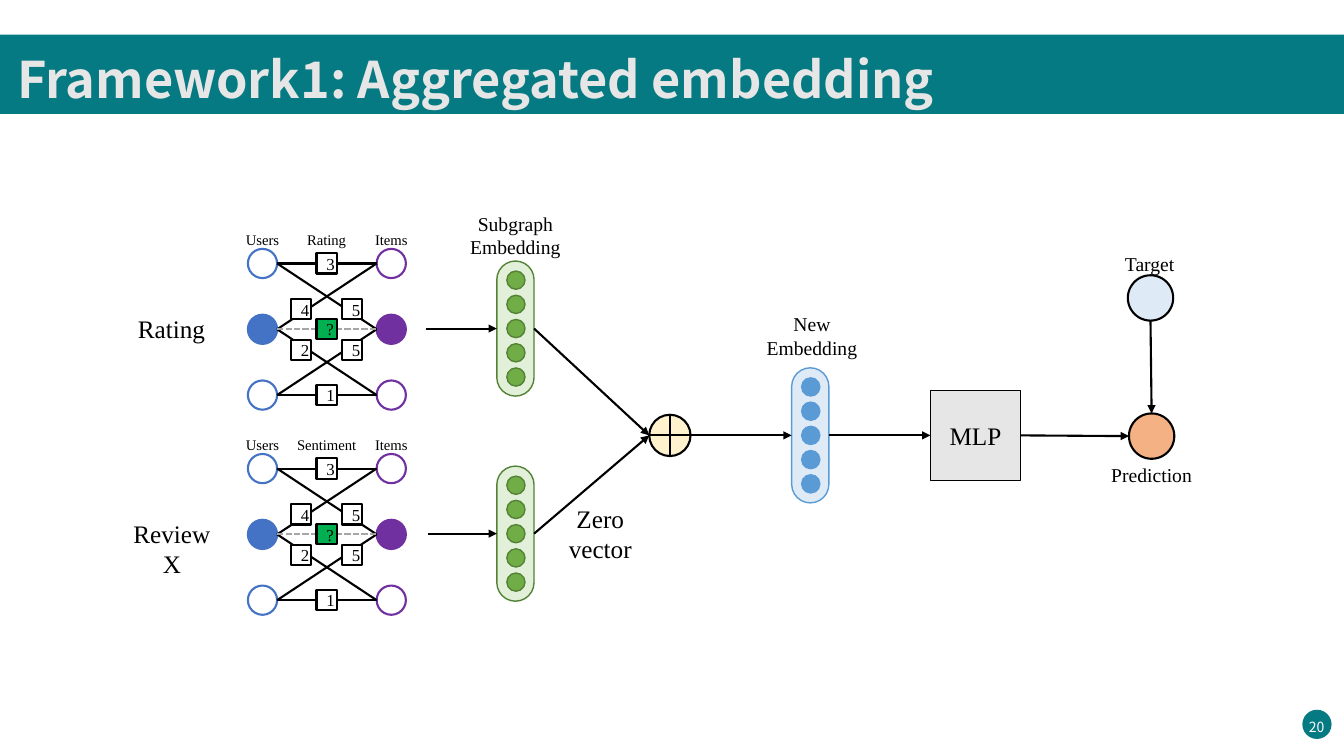
from lxml import etree
from pptx import Presentation
from pptx import util as u
from pptx.dml import color as dc
from pptx.enum import dml, shapes, text
from pptx.oxml import ns

SHAPE = shapes.MSO_SHAPE
ALIGN = text.PP_ALIGN
ANCHOR = text.MSO_ANCHOR
SERIF, SANS = "Times New Roman", "Noto Sans CJK KR"
TEAL, BLACK, WHITE, GREY = "067A82", "000000", "FFFFFF", "E7E6E6"
LEFT, RIGHT = 1, 3  # connection sites of a rectangle


def rgb(value):
    return dc.RGBColor.from_string(value)


def apply(target, **formats):
    for name, value in formats.items():
        setattr(target, name, value)


class Sketch:
    """Holds the current slide and draws styled elements, in points."""

    def __init__(self, page):
        self.page = page
        self.shapes = page.shapes

    def start_group(self):
        self.shapes = self.page.shapes.add_group_shape().shapes

    def end_group(self):
        self.shapes = self.page.shapes

    def fill_text(self, box, words, size, color=BLACK, font=SERIF, bold=False,
                  align=ALIGN.CENTER, anchor=ANCHOR.MIDDLE, spacing=1.0,
                  wrap=True):
        frame = box.text_frame
        frame.text = words
        apply(frame, word_wrap=wrap, vertical_anchor=anchor,
              auto_size=text.MSO_AUTO_SIZE.NONE)
        for para in frame.paragraphs:
            apply(para, alignment=align, line_spacing=spacing)
            for span in para.runs:
                apply(span.font, name=font, size=u.Pt(size), bold=bold)
                span.font.color.rgb = rgb(color)

    def label(self, words, x, top, width, height, size, **style):
        """Text box centred on x."""
        box = self.shapes.add_textbox(
            *map(u.Pt, (x - width / 2, top, width, height)))
        self.fill_text(box, words, size, **{"anchor": ANCHOR.TOP, **style})

    def shape(self, kind, x, y, width, height, fill=None, line=None, weight=1.5):
        """Preset shape centred on (x, y)."""
        box = self.shapes.add_shape(kind, *map(
            u.Pt, (x - width / 2, y - height / 2, width, height)))
        box.shadow.inherit = False
        if fill:
            box.fill.solid()
            box.fill.fore_color.rgb = rgb(fill)
        else:
            box.fill.background()
        if line:
            box.line.color.rgb = rgb(line)
            box.line.width = u.Pt(weight)
        else:
            box.line.fill.background()
        return box

    def circle(self, x, y, size, fill=None, line=None, weight=1.5):
        return self.shape(SHAPE.OVAL, x, y, size, size, fill, line, weight)

    def line(self, start, end, color=BLACK, dash=None, arrow=False):
        """Each end is a point, or a rectangle with the site to join."""
        joined = [not isinstance(tip[0], (int, float)) for tip in (start, end)]
        points = [(0, 0) if join else tip
                  for join, tip in zip(joined, (start, end))]
        link = self.shapes.add_connector(
            shapes.MSO_CONNECTOR.STRAIGHT, *map(u.Pt, points[0] + points[1]))
        if joined[0]:
            link.begin_connect(*start)
        if joined[1]:
            link.end_connect(*end)
        link.line.color.rgb = rgb(color)
        link.line.width = u.Pt(1.5)
        if dash:
            link.line.dash_style = dash
        properties = link.element.spPr
        if arrow:
            etree.SubElement(properties.find(ns.qn("a:ln")),
                             ns.qn("a:tailEnd"), type="triangle")
        etree.SubElement(properties, ns.qn("a:effectLst"))

    def title(self, words):
        banner = self.shape(SHAPE.RECTANGLE, 480, 53, 960, 56.6, TEAL)
        box = self.page.shapes.title
        apply(box, left=u.Pt(5), top=u.Pt(12.2),
              width=u.Pt(955), height=u.Pt(66.2))
        self.fill_text(box, words, 36, GREY, SANS, bold=True,
                       align=ALIGN.LEFT, spacing=1.5)
        banner.element.addnext(box.element)

    def graph(self, name, y):
        """User-item graph whose middle row lies at y."""
        self.start_group()
        users, middle, items, pitch, size = 187.5, 233.3, 279.5, 47, 20.9
        rows = [y - pitch, y, y + pitch]
        for words, x in (("Users", users), (name, middle), ("Items", items)):
            self.label(words, x, y - 74.2, 72.7, 16.6, 10.5)
        for x, color in ((users, "4472C4"), (items, "7030A0")):
            for row, fill in zip(rows, (None, color, None)):
                self.circle(x, row, size, fill, color)
        near, far = users + size / 2, items - size / 2
        for a, b in ((0, 0), (1, 0), (2, 1), (1, 2), (2, 2), (0, 1)):
            self.line((near, rows[a]), (far, rows[b]))
        self.line((near, y), (far, y), "A6A6A6", dml.MSO_LINE.SQUARE_DOT)
        for mark, column, drop, fill in (
                ("3", 0, -pitch, WHITE), ("4", -1, -14.2, WHITE),
                ("5", 1, -14.2, WHITE), ("2", -1, 14.8, WHITE),
                ("5", 1, 14.8, WHITE), ("1", 0, pitch, WHITE),
                ("?", 0, 0, "00B050")):
            box = self.shape(SHAPE.RECTANGLE, middle + 18.2 * column, y + drop,
                             14.4, 14.4, fill, BLACK)
            self.fill_text(box, mark, 12)
        self.end_group()

    def embedding(self, x, y, fill, dot, line):
        """Capsule with five dots, centred on (x, y)."""
        self.start_group()
        capsule = self.shape(SHAPE.ROUNDED_RECTANGLE, x, y, 26.6, 96.5,
                             fill, line, 1)
        capsule.adjustments[0] = 0.5
        for step in range(-2, 3):
            self.circle(x + 0.3, y + 17.3 * step, 13, dot, line, 1)
        self.end_group()
        return capsule


def main():
    deck = Presentation()
    apply(deck, slide_width=u.Pt(960), slide_height=u.Pt(540))
    sketch = Sketch(deck.slides.add_slide(deck.slide_layouts[5]))

    # Title and page number
    sketch.title("Framework1: Aggregated embedding")
    sketch.circle(940.7, 517.4, 20.9, TEAL)
    sketch.label("20", 940.4, 504, 38.9, 23.8, 10, color=WHITE, font=SANS,
                 spacing=1.5, wrap=False)

    # Two input graphs with their embeddings, joined at the sum
    axis, sum_x, sum_size = 311, 478.5, 29.5
    sketch.shape(SHAPE.FLOWCHART_OR, sum_x, axis, sum_size, sum_size,
                 "FFF2CC", BLACK)
    for name, y, start in (("Rating", 235.2, 304), ("Sentiment", 381.7, 306)):
        sketch.graph(name, y)
        capsule = sketch.embedding(368.2, y - 0.5, "E2F0D9", "70AD47", "548235")
        sketch.line((start, y - 0.5), (capsule, LEFT), arrow=True)
        sketch.line((capsule, RIGHT), (sum_x - sum_size / 2, axis), arrow=True)
    sketch.label("Rating", 122.5, 220.3, 72.7, 28.8, 18)
    sketch.label("Review\nX", 122.8, 366.5, 95.8, 51, 18)
    sketch.label("Subgraph\nEmbedding", 368.2, 147.6, 124.6, 41, 14)
    sketch.label("Zero vector", 428.8, 355.7, 95.8, 51, 18)

    # New embedding and MLP
    merged = sketch.embedding(578.8, axis, "DEEBF7", "5B9BD5", "5B9BD5")
    sketch.label("New\nEmbedding", 580, 219.6, 124.6, 41, 14)
    mlp = sketch.shape(SHAPE.RECTANGLE, 696.8, axis, 64.4, 64.4, GREY, BLACK, 1)
    sketch.fill_text(mlp, "MLP", 18)

    # Target and prediction
    target_x, target_y, prediction_x, size = 821.8, 212.8, 822.6, 32.4
    sketch.label("Target", 821.2, 167.8, 75.6, 29.5, 14, spacing=1.5)
    sketch.label("Prediction", prediction_x, 319, 75.6, 29.5, 14, spacing=1.5)
    sketch.circle(target_x, target_y, size, "DEEBF7", BLACK)
    sketch.circle(prediction_x, axis + 0.5, size, "F4B183", BLACK)

    # Flow arrows
    for start, end in (
            ((sum_x + sum_size / 2, axis), (merged, LEFT)),
            ((merged, RIGHT), (mlp, LEFT)),
            ((mlp, RIGHT), (prediction_x - size / 2, axis + 0.5)),
            ((target_x, target_y + size / 2),
             (prediction_x, axis + 0.5 - size / 2))):
        sketch.line(start, end, arrow=True)

    deck.save("out.pptx")


if __name__ == "__main__":
    main()
